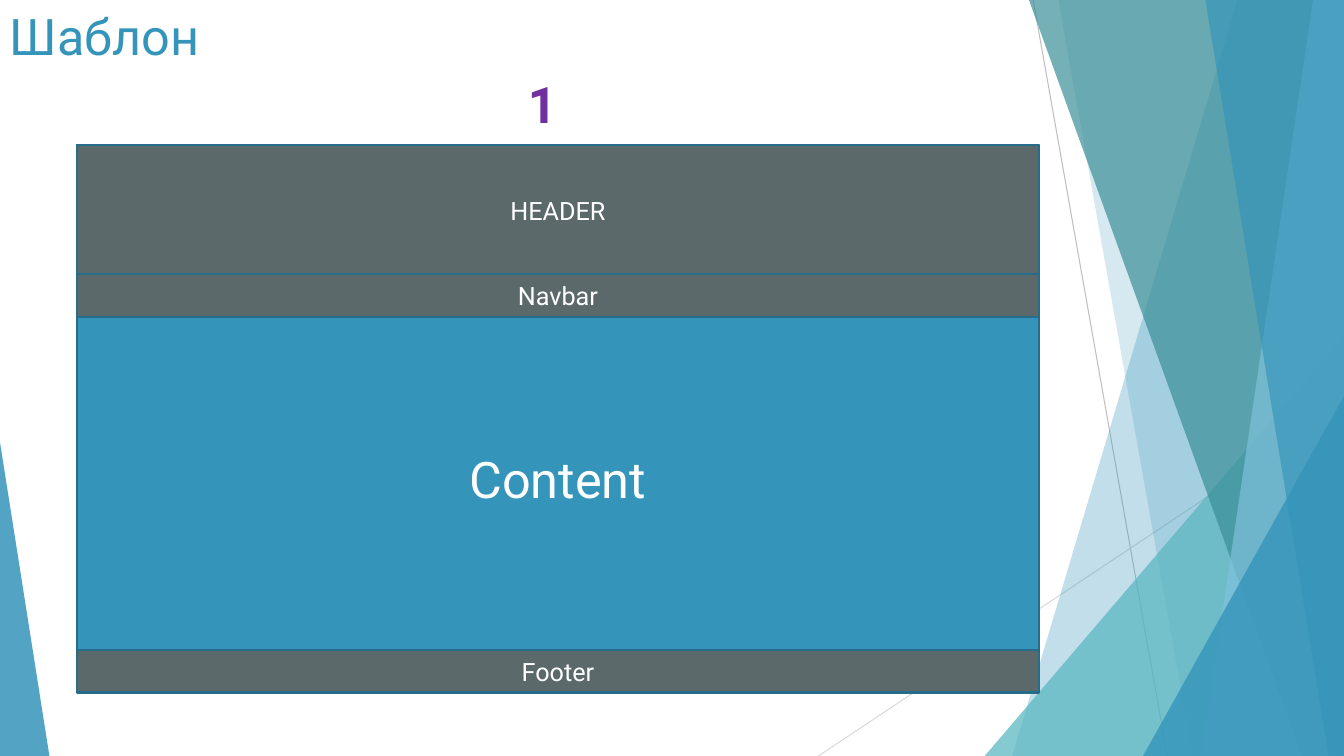
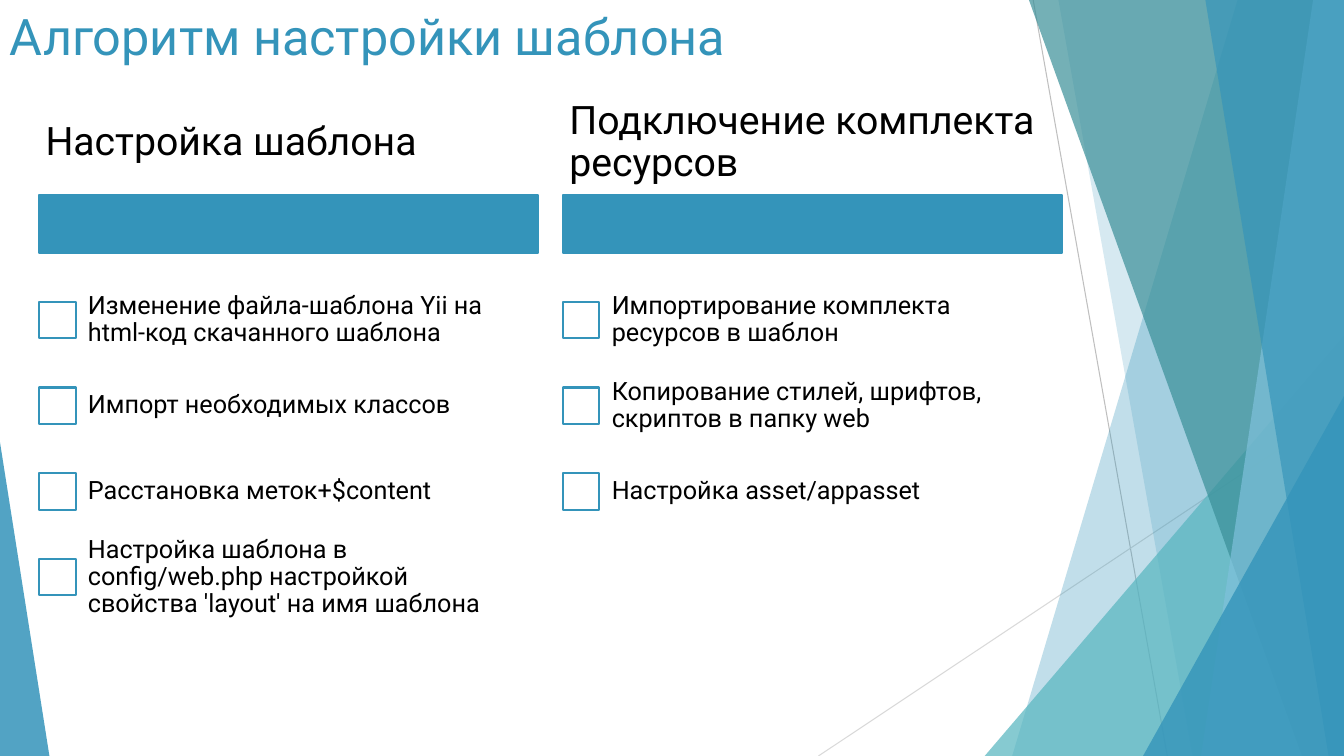
from pptx import Presentation
from pptx.dml.color import RGBColor
from pptx.enum.shapes import MSO_CONNECTOR as Link, MSO_SHAPE as Kind
from pptx.enum.text import MSO_ANCHOR as Anchor, PP_ALIGN as Align
from pptx.oxml.ns import qn
from pptx.util import Pt
from lxml.etree import SubElement

WIDE, HIGH = 960, 540
FONT = "Roboto"
BLUE = RGBColor(0x34, 0x94, 0xBA)
NAVY = RGBColor(0x26, 0x6D, 0x8A)
AQUA = RGBColor(0x58, 0xB6, 0xC0)
TEAL = RGBColor(0x3A, 0x8F, 0x98)
SKY = RGBColor(0x7F, 0xC1, 0xDB)
SLATE = RGBColor(0x5B, 0x69, 0x6B)
PURPLE = RGBColor(0x70, 0x30, 0xA0)
SILVER = RGBColor(0xBF, 0xBF, 0xBF)
PALE = RGBColor(0xD9, 0xD9, 0xD9)
WHITE = RGBColor(0xFF, 0xFF, 0xFF)
BLACK = RGBColor(0, 0, 0)

# start x, start y, end x, end y, colour
RAYS = [(738, 0, 833.8, HIGH, SILVER), (WIDE, 290, 584.6, HIGH, PALE)]

# Back to front. Slabs: top x, foot x. Wedges: left, top, width, apex.
FACETS = [
    ("slab", (884.2, 723), BLUE, 30),
    ("slab", (756, 851.8), BLUE, 20),
    ("wedge", (703.4, 239.8, 256.6, 1), AQUA, 72),
    ("slab", (735.1, 929.5), TEAL, 70),
    ("slab", (938.2, 858.2), SKY, 70),
    ("slab", (861.1, 949), BLUE, 65),
    ("wedge", (816.5, 283, 143.5, 1), BLUE, 80),
    ("wedge", (0, 316, 35.3, 0), BLUE, 85),
]

# label, top, height, fill, text size, top inset
BANDS = [
    ("Content", 103.7, 391, BLUE, 36, 88),
    ("HEADER", 103.7, 92.9, SLATE, 18, 3.6),
    ("Navbar", 196, 30.2, SLATE, 18, 3.6),
    ("Footer", 464.4, 30.2, SLATE, 18, 3.6),
]

LISTS = [
    ("Настройка шаблона", [
        "Изменение файла-шаблона Yii на html-код скачанного шаблона",
        "Импорт необходимых классов",
        "Расстановка меток+$content",
        "Настройка шаблона в config/web.php настройкой "
        "свойства 'layout' на имя шаблона",
    ]),
    ("Подключение комплекта ресурсов", [
        "Импортирование комплекта ресурсов в шаблон",
        "Копирование стилей, шрифтов, скриптов в папку web",
        "Настройка asset/appasset",
    ]),
]


def assign(obj, **values):
    for name, value in values.items():
        setattr(obj, name, value)


def paint(shape, fill, line=None, alpha=100):
    """Flat fill, given opacity in percent, and an optional outline."""
    shape.shadow.inherit = False
    shape.fill.solid()
    shape.fill.fore_color.rgb = fill
    if alpha < 100:
        tone = shape._element.spPr.find(qn("a:solidFill"))[0]
        SubElement(tone, qn("a:alpha")).set("val", str(alpha * 1000))
    if line is None:
        shape.line.fill.background()
    else:
        shape.line.color.rgb = line
        shape.line.width = Pt(1.5)


def add_rect(slide, box, fill, line):
    rect = slide.shapes.add_shape(Kind.RECTANGLE, *map(Pt, box))
    paint(rect, fill, line)
    return rect


def write(shape, text, size, color, inset=(7.2, 3.6, 7.2, 3.6),
          bold=False, para=None, **frame):
    body = shape.text_frame
    sides = ("margin_left", "margin_top", "margin_right", "margin_bottom")
    assign(body, **{"word_wrap": True, **dict(zip(sides, map(Pt, inset))),
                    **frame})
    line = body.paragraphs[0]
    assign(line, **(para or {}))
    run = line.add_run()
    run.text = text
    assign(run.font, name=FONT, size=Pt(size), bold=bold)
    run.font.color.rgb = color


def add_text(slide, box, text, size, color, **style):
    write(slide.shapes.add_textbox(*map(Pt, box)), text, size, color, **style)


def add_ray(slide, x1, y1, x2, y2, color):
    ray = slide.shapes.add_connector(Link.STRAIGHT, *map(Pt, (x1, y1, x2, y2)))
    ray.line.color.rgb = color
    ray.line.width = Pt(0.75)
    SubElement(ray._element.spPr, qn("a:effectLst"))


def add_slab(slide, top, foot):
    """Outline from a slanted left side to the right slide edge."""
    pen = slide.shapes.build_freeform(top, 0, scale=Pt(1))
    pen.add_line_segments([(WIDE, 0), (WIDE, HIGH), (foot, HIGH)], close=True)
    return pen.convert_to_shape()


def add_wedge(slide, left, top, width, apex):
    """Triangle standing on the bottom slide edge."""
    box = left, top, width, HIGH - top
    wedge = slide.shapes.add_shape(Kind.ISOSCELES_TRIANGLE, *map(Pt, box))
    wedge.adjustments[0] = apex
    return wedge


def add_page(deck, title):
    """Blank slide with the shared facets and title."""
    slide = deck.slides.add_slide(deck.slide_layouts[6])
    for ray in RAYS:
        add_ray(slide, *ray)
    makers = {"slab": add_slab, "wedge": add_wedge}
    for kind, place, color, alpha in FACETS:
        paint(makers[kind](slide, *place), color, alpha=alpha)
    add_text(slide, (0, 0, 676.8, 103.7), title, 36, BLUE)
    return slide


def add_bands(slide, left, width):
    for label, top, height, fill, size, inset in BANDS:
        band = add_rect(slide, (left, top, width, height), fill, NAVY)
        write(band, label, size, WHITE, inset=(7.2, inset, 7.2, 3.6),
              vertical_anchor=Anchor.MIDDLE, para={"alignment": Align.CENTER})


def add_list(slide, left, top, width, head, items):
    """Heading, bar and a column of check boxes."""
    style = {"vertical_anchor": Anchor.MIDDLE, "para": {"line_spacing": 0.9}}
    add_rect(slide, (left, top + 75, width, 41.8), BLUE, BLUE)
    add_text(slide, (left, top, width, 75.6), head, 28, BLACK,
             inset=(4.5, 3, 4.5, 3), **style)
    row, side, indent = 61.2, 26, 24.8
    for i, item in enumerate(items):
        y = top + 134 + i * row
        add_rect(slide, (left, y + (row - side) / 2, side, side), WHITE, BLUE)
        add_text(slide, (left + indent, y, width - indent, row), item, 18,
                 BLACK, inset=(10, 10, 10, 10), **style)


def add_layout(deck):
    slide = add_page(deck, "Шаблон")
    add_bands(slide, 54.7, 687.6)
    add_text(slide, (370, 49, 36, 51), "1", 36, PURPLE,
             bold=True, word_wrap=False)


def add_steps(deck):
    slide = add_page(deck, "Алгоритм настройки шаблона")
    for i, (head, items) in enumerate(LISTS):
        add_list(slide, 28 + i * 374.2, 64, 356.4, head, items)


def main():
    deck = Presentation()
    assign(deck, slide_width=Pt(WIDE), slide_height=Pt(HIGH))
    add_layout(deck)
    add_steps(deck)
    deck.save("out.pptx")


if __name__ == "__main__":
    main()
